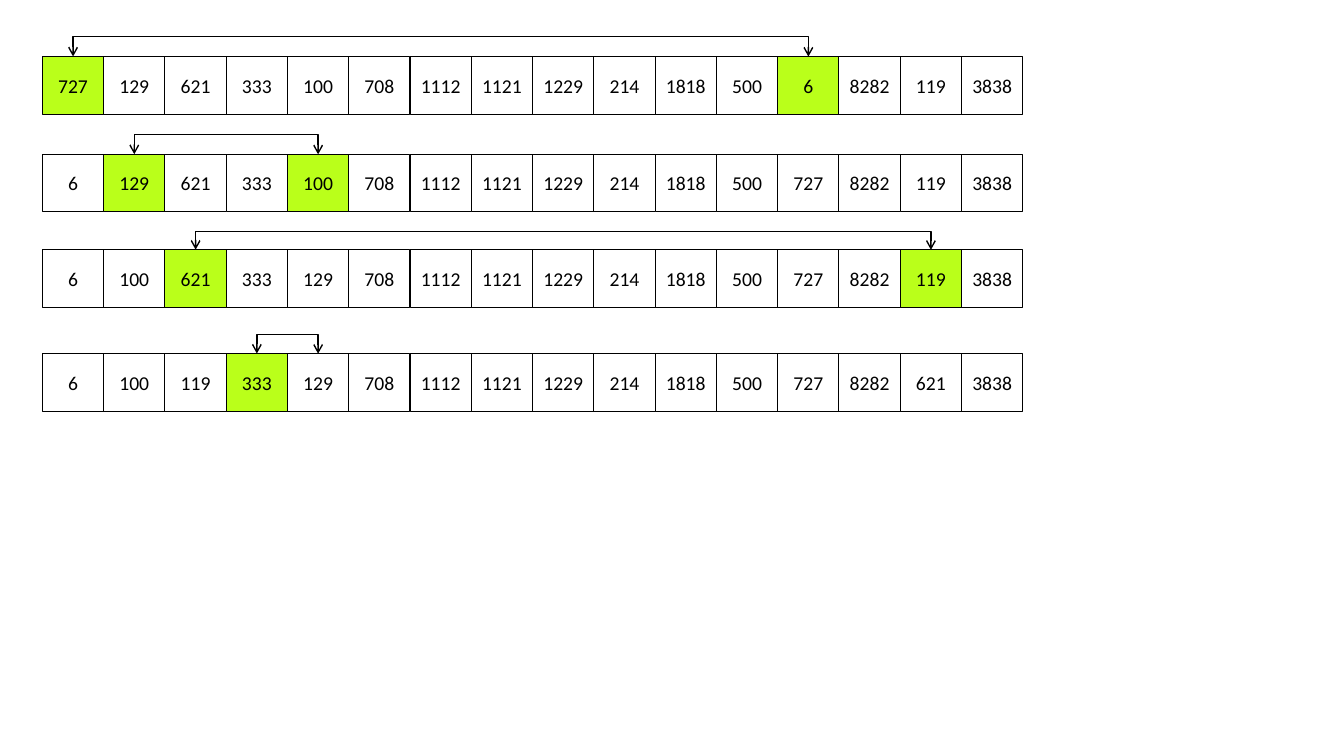
from lxml import etree
from pptx import Presentation
from pptx.dml.color import RGBColor
from pptx.enum.shapes import MSO_CONNECTOR, MSO_SHAPE
from pptx.enum.text import MSO_ANCHOR, PP_ALIGN
from pptx.oxml.ns import qn
from pptx.util import Pt

STEPS = [
    {"numbers": "727 129 621 333 100 708 1112 1121 1229 214 1818 500 6 8282 119 3838",
     "swap": (0, 12), "highlighted": (0, 12), "top": 40.4, "lift": 15},
    {"numbers": "6 129 621 333 100 708 1112 1121 1229 214 1818 500 727 8282 119 3838",
     "swap": (1, 4), "highlighted": (1, 4), "top": 110.2, "lift": 15},
    {"numbers": "6 100 621 333 129 708 1112 1121 1229 214 1818 500 727 8282 119 3838",
     "swap": (2, 14), "highlighted": (2, 14), "top": 178.4, "lift": 13.7},
    {"numbers": "6 100 119 333 129 708 1112 1121 1229 214 1818 500 727 8282 621 3838",
     "swap": (3, 4), "highlighted": (3,), "top": 252.6, "lift": 14.3},
]
BLACK, WHITE, LIME = "000000", "FFFFFF", "BAFF1A"
ROW_LEFT, CELL_WIDTH, CELL_HEIGHT = 30.3, 43.77, 41.2
BRACKET_DEPTH = 0.12


def colour(hex_code):
    return RGBColor.from_string(hex_code)


def add_cell(slide, number, column, top, fill):
    cell = slide.shapes.add_shape(
        MSO_SHAPE.RECTANGLE, Pt(ROW_LEFT + column * CELL_WIDTH), Pt(top),
        Pt(CELL_WIDTH), Pt(CELL_HEIGHT))
    cell.shadow.inherit = False
    cell.fill.solid()
    cell.fill.fore_color.rgb = colour(fill)
    cell.line.color.rgb = colour(BLACK)
    cell.line.width = Pt(0.75)
    frame = cell.text_frame
    frame.margin_left = frame.margin_right = Pt(0)
    frame.vertical_anchor = MSO_ANCHOR.MIDDLE
    paragraph = frame.paragraphs[0]
    paragraph.alignment = PP_ALIGN.CENTER
    run = paragraph.add_run()
    run.text = number
    run.font.name = "Calibri"
    run.font.size = Pt(14)
    run.font.color.rgb = colour(BLACK)
    return cell


def add_swap_bracket(slide, cells, swap, top, lift):
    first, second = swap
    span = (second - first) * CELL_WIDTH
    middle = ROW_LEFT + (first + second + 1) / 2 * CELL_WIDTH
    bracket = slide.shapes.add_connector(MSO_CONNECTOR.ELBOW, 0, 0, 0, 0)
    bracket.begin_connect(cells[first], 0)
    bracket.end_connect(cells[second], 0)
    bracket.left, bracket.top = Pt(middle - BRACKET_DEPTH / 2), Pt(top - span / 2)
    bracket.width, bracket.height = Pt(BRACKET_DEPTH), Pt(span)
    bracket.line.color.rgb = colour(BLACK)
    bracket.line.width = Pt(1)

    properties = bracket._element.spPr
    transform = properties.find(qn("a:xfrm"))
    transform.set("rot", "5400000")
    transform.set("flipV", "1")
    bend = etree.SubElement(properties.find(qn("a:prstGeom")).find(qn("a:avLst")), qn("a:gd"))
    bend.set("name", "adj1")
    bend.set("fmla", f"val {round(-lift / BRACKET_DEPTH * 100000)}")
    outline = properties.find(qn("a:ln"))
    for end in ("a:headEnd", "a:tailEnd"):
        etree.SubElement(outline, qn(end)).set("type", "arrow")
    etree.SubElement(properties, qn("a:effectLst"))


def main():
    deck = Presentation()
    deck.slide_width, deck.slide_height = Pt(960), Pt(540)
    slide = deck.slides.add_slide(deck.slide_layouts[6])
    for step in STEPS:
        cells = [
            add_cell(slide, number, column, step["top"],
                     LIME if column in step["highlighted"] else WHITE)
            for column, number in enumerate(step["numbers"].split())
        ]
        add_swap_bracket(slide, cells, step["swap"], step["top"], step["lift"])
    deck.save("out.pptx")


if __name__ == "__main__":
    main()
